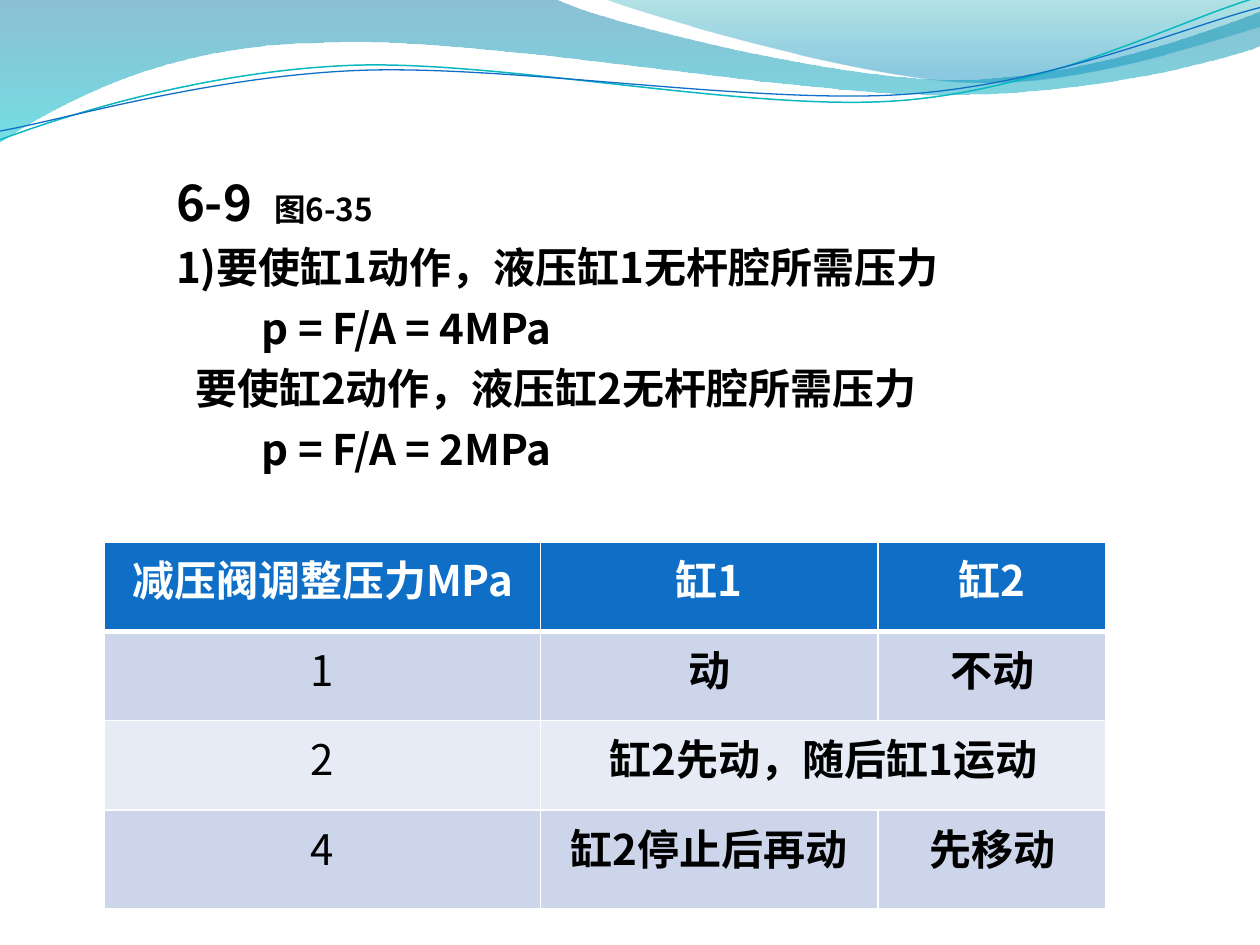
from lxml import etree
from pptx import Presentation
from pptx import util as u
from pptx.dml.color import RGBColor
from pptx.enum import text
from pptx.oxml import ns

BLACK = RGBColor(0x00, 0x00, 0x00)
WHITE = RGBColor(0xFF, 0xFF, 0xFF)
BLUE = RGBColor(0x0F, 0x6F, 0xC6)
TEAL = RGBColor(0x0A, 0xB8, 0xBF)
BAND_DARK = RGBColor(0xCC, 0xD5, 0xEA)
BAND_LIGHT = RGBColor(0xE7, 0xEB, 0xF5)
FONT = "Noto Sans CJK SC"

deck = Presentation()
deck.slide_width, deck.slide_height = u.Inches(10), u.Inches(7.5)
page = deck.slides.add_slide(deck.slide_layouts[6])
COL = deck.slide_width / 10  # grid of 10 columns by 7.5 rows
ROW = deck.slide_height / 7.5


def add_wave(start, parts, closed):
    """Draw an outline; a part of 2 numbers is a line, of 6 a Bezier curve."""
    points = [(part[i] * COL, part[i + 1] * ROW)
              for part in parts for i in range(0, len(part), 2)]
    builder = page.shapes.build_freeform(start[0] * COL, start[1] * ROW, scale=1.0)
    builder.add_line_segments(points, close=closed)
    wave = builder.convert_to_shape()
    wave.shadow.inherit = False
    # Join the three points of each curve into one Bezier segment
    segments = iter(list(wave._element.iter(ns.qn("a:lnTo"))))
    for part in parts:
        curve = next(segments)
        if len(part) == 6:
            curve.tag = ns.qn("a:cubicBezTo")
            for _ in range(2):
                segment = next(segments)
                curve.append(segment[0])
                segment.getparent().remove(segment)
    return wave


def add_span(para, words, color, **formats):
    span = para.add_run()
    span.text = words
    span.font.color.rgb = color
    for name, value in {"name": FONT, **formats}.items():
        setattr(span.font, name, value)
    etree.SubElement(span.font._element, ns.qn("a:ea"), typeface=FONT)


# Filled waves: start, parts, gradient stops (position, colour, opacity %)
bands = [
    ((0, -0.01),
     [(4.4, -0.01), (4.76, 0.17, 6.64, 0.63, 7.58, 0.63), (8.53, 0.63, 9.58, 0.26, 10, 0.09),
      (10.01, 0.36), (9.83, 0.44, 8.7, 0.76, 7.46, 0.75), (6.22, 0.75, 3.82, 0.28, 2.57, 0.34),
      (1.29, 0.35, 0.46, 0.83, -0.01, 1.13)],
     [(0, RGBColor(0x00, 0x74, 0xA1), 45), (1, RGBColor(0x00, 0xC6, 0xCF), 55)]),
    ((4.79, -0.01),
     [(5.09, 0.11, 6.82, 0.62, 7.69, 0.65), (8.56, 0.69, 9.61, 0.32, 10, 0.21), (10, 0)],
     [(0, RGBColor(0x00, 0xA1, 0xA9), 30), (0.8, RGBColor(0x00, 0x8B, 0xBF), 45)]),
]
for start, parts, stops in bands:
    band = add_wave(start, parts, True)
    band.line.fill.background()
    band.fill.gradient()
    band.fill.gradient_angle = 270
    for stop, (position, color, _) in zip(band.fill.gradient_stops, stops):
        stop.position = position
        stop.color.rgb = color
    for tint, (_, _, opacity) in zip(band._element.spPr.iter(ns.qn("a:srgbClr")), stops):
        etree.SubElement(tint, ns.qn("a:alpha"), val=str(opacity * 1000))

# Thin wave lines
strands = [
    ((0, 1.11), [(0.48, 0.93, 1.58, 0.57, 2.77, 0.52), (3.95, 0.47, 5.93, 0.89, 7.13, 0.8),
                 (8.33, 0.71, 9.38, 0.15, 9.98, -0.02)], TEAL, 0.85),
    ((0, 1.04), [(0.47, 0.96, 1.64, 0.61, 2.83, 0.56), (4.03, 0.51, 5.97, 0.83, 7.17, 0.75),
                 (8.36, 0.67, 9.41, 0.21, 10, 0.06)], BLUE, 0.75),
]
for start, parts, color, width in strands:
    strand = add_wave(start, parts, False)
    strand.fill.background()
    strand.line.color.rgb = color
    strand.line.width = u.Pt(width)

# Problem text: indent in columns, then spans of words and size
lines = [
    (0, [("6-9  ", 28), ("图6-35", 18)]),
    (0, [("1)要使缸1动作，液压缸1无杆腔所需压力", 24)]),
    (0.68, [("p = F/A = 4MPa", 24)]),
    (0.15, [("要使缸2动作，液压缸2无杆腔所需压力", 24)]),
    (0.68, [("p = F/A = 2MPa", 24)]),
]
box = page.shapes.add_textbox(*map(int, (1.3 * COL, 1.23 * ROW, 7.87 * COL, 2.61 * ROW)))
box.text_frame.word_wrap = True
box.text_frame.auto_size = text.MSO_AUTO_SIZE.SHAPE_TO_FIT_TEXT
for index, (indent, spans) in enumerate(lines):
    para = box.text_frame.paragraphs[0] if index == 0 else box.text_frame.add_paragraph()
    para.line_spacing = 1.2
    if indent:
        props = para._p.get_or_add_pPr()
        props.set("marL", str(int(indent * COL)))
        props.set("indent", "0")
    for words, size in spans:
        add_span(para, words, BLACK, size=u.Pt(size), bold=True)

# Pressure table
rows = [
    ("减压阀调整压力MPa", "缸1", "缸2"),
    ("1", "动", "不动"),
    ("2", "缸2先动，随后缸1运动", ""),
    ("4", "缸2停止后再动", "先移动"),
]
fills = [BLUE, BAND_DARK, BAND_LIGHT, BAND_DARK]
table = page.shapes.add_table(
    4, 3, *map(int, (0.83 * COL, 4.3 * ROW, 7.95 * COL, 2.91 * ROW))).table
for column, width in zip(table.columns, (3.46, 2.68, 1.81)):
    column.width = int(width * COL)
for row, height in zip(table.rows, (0.71, 0.71, 0.71, 0.78)):
    row.height = int(height * ROW)
table.cell(2, 1).merge(table.cell(2, 2))

for r, entries in enumerate(rows):
    for c, words in enumerate(entries):
        cell = table.cell(r, c)
        cell.fill.solid()
        cell.fill.fore_color.rgb = fills[r]
        if words:
            para = cell.text_frame.paragraphs[0]
            para.alignment = text.PP_ALIGN.CENTER
            add_span(para, words, BLACK if r else WHITE,
                     size=u.Pt(24), bold=r == 0 or c > 0)
        # White borders, heavier under the header
        widths = {"lnL": 1, "lnR": 1, "lnT": 3 if r == 1 else 1, "lnB": 3 if r == 0 else 1}
        props = cell._tc.get_or_add_tcPr()
        for place, (side, width) in enumerate(widths.items()):
            border = etree.Element(ns.qn("a:" + side), w=str(u.Pt(width)))
            paint = etree.SubElement(border, ns.qn("a:solidFill"))
            etree.SubElement(paint, ns.qn("a:srgbClr"), val=str(WHITE))
            props.insert(place, border)

deck.save("out.pptx")
